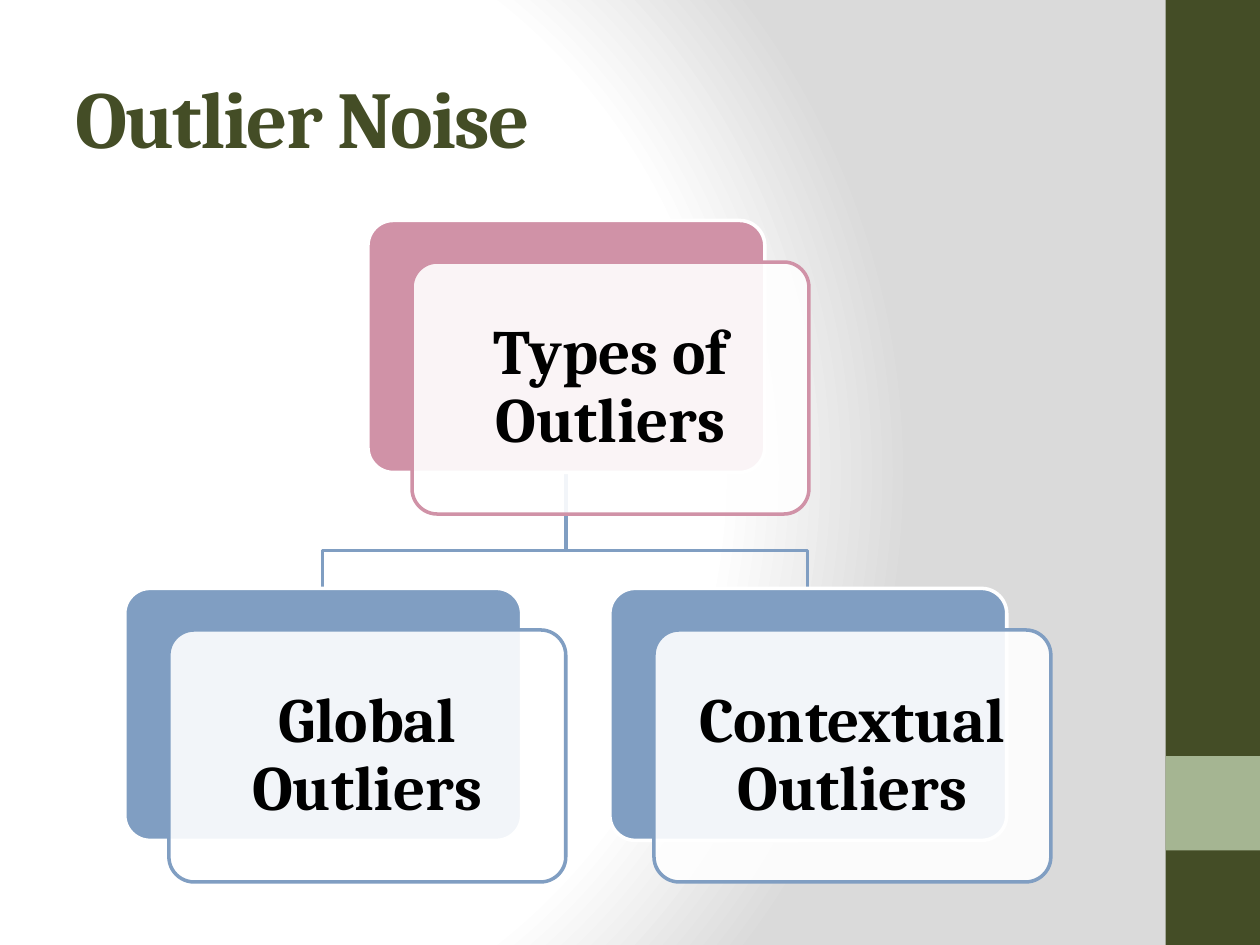
from typing import NamedTuple
from pptx import Presentation as Deck
from pptx.dml.color import RGBColor as Rgb
from pptx.enum.shapes import MSO_SHAPE as Kind
from pptx.enum.text import MSO_ANCHOR as Anchor, PP_ALIGN as Align
from pptx.oxml import parse_xml as parse
from pptx.oxml.ns import nsdecls, qn
from pptx.util import Pt

PX = 9144
WHITE = Rgb(0xFF, 0xFF, 0xFF)
BLACK = Rgb(0, 0, 0)
OLIVE = Rgb(0x44, 0x4D, 0x26)
SAGE = Rgb(0xA5, 0xB5, 0x92)
ROSE = Rgb(0xD0, 0x92, 0xA7)
BLUE = Rgb(0x80, 0x9E, 0xC2)
WIDE, TALL = 315, 200
SHIFT_X, SHIFT_Y = 35, 33
FONT = {"name": "Cambria", "bold": True}
FRAME = {"word_wrap": True, "vertical_anchor": Anchor.MIDDLE}
SIDES = ("margin_left", "margin_top", "margin_right", "margin_bottom")


class Box(NamedTuple):
    x: int
    y: int
    w: int
    h: int

    def emu(self) -> list[int]:
        return [n * PX for n in self]


class Card(NamedTuple):
    text: str
    x: int
    y: int
    hue: Rgb


ROOT = Card("Types of Outliers", 292, 175, ROSE)
LEAVES = [
    Card("Global Outliers", 99, 467, BLUE),
    Card("Contextual Outliers", 484, 467, BLUE),
]
BANDS = [(Box(925, 0, 75, 750), OLIVE), (Box(925, 600, 75, 75), SAGE)]


def apply(target, values: dict) -> None:
    for name, value in values.items():
        setattr(target, name, value)


def shade(slide) -> None:
    slide.background.fill.gradient()
    grad = next(slide.element.iter(qn("a:gradFill")))
    stops = "".join(
        f'<a:gs pos="{spot * 1000}"><a:srgbClr val="{hue}"/></a:gs>'
        for spot, hue in ((0, "FFFFFF"), (75, "FFFFFF"), (100, "DADADA"))
    )
    fresh = parse(
        f'<a:gradFill {nsdecls("a")} rotWithShape="1"><a:gsLst>{stops}</a:gsLst>'
        '<a:path path="circle"><a:fillToRect l="20000" t="50000" '
        'r="100000" b="50000"/></a:path></a:gradFill>'
    )
    grad.getparent().replace(grad, fresh)


def block(slide, kind: Kind, box: Box, fill: Rgb, edge: Rgb | None = None):
    shape = slide.shapes.add_shape(kind, *box.emu())
    shape.shadow.inherit = False
    shape.fill.solid()
    shape.fill.fore_color.rgb = fill
    if edge is None:
        shape.line.fill.background()
    else:
        shape.line.color.rgb = edge
        shape.line.width = Pt(2)
    if kind == Kind.ROUNDED_RECTANGLE:
        shape.adjustments[0] = 0.1
    return shape


def write(shape, text: str, size: int, hue: Rgb, form: dict):
    apply(shape.text_frame, FRAME)
    para = shape.text_frame.paragraphs[0]
    apply(para, form)
    run = para.add_run()
    run.text = text
    apply(run.font, FONT | {"size": Pt(size)})
    run.font.color.rgb = hue


def title(slide, text: str) -> None:
    box = slide.shapes.add_textbox(*Box(50, 30, 833, 125).emu())
    write(box, text, 46, OLIVE, {"alignment": Align.LEFT})
    next(box.element.iter(qn("a:rPr"))).set("spc", "-100")


def link(slide, top: Card, low: Card) -> None:
    start, end = top.x + WIDE // 2, low.x + WIDE // 2
    foot, bend = top.y + TALL, low.y - 30
    draft = slide.shapes.build_freeform(start, foot, PX)
    draft.add_line_segments(
        [(start, bend), (end, bend), (end, low.y)], close=False
    )
    line = draft.convert_to_shape()
    line.shadow.inherit = False
    line.fill.background()
    line.line.color.rgb = BLUE
    line.line.width = Pt(2)


def draw(slide, card: Card) -> None:
    kind = Kind.ROUNDED_RECTANGLE
    back = Box(card.x, card.y, WIDE, TALL)
    block(slide, kind, back, card.hue, WHITE)
    front = back._replace(x=card.x + SHIFT_X, y=card.y + SHIFT_Y)
    face = block(slide, kind, front, WHITE, card.hue)
    tint = next(face.element.spPr.iter(qn("a:srgbClr")))
    tint.append(parse(f'<a:alpha {nsdecls("a")} val="90000"/>'))
    apply(face.text_frame, dict.fromkeys(SIDES, 15 * PX))
    form = {"alignment": Align.CENTER, "line_spacing": 0.9}
    write(face, card.text, 36, BLACK, form)


def main() -> None:
    deck = Deck()
    apply(deck, {"slide_width": 1000 * PX, "slide_height": 750 * PX})
    slide = deck.slides.add_slide(deck.slide_layouts[6])
    shade(slide)
    for box, hue in BANDS:
        block(slide, Kind.RECTANGLE, box, hue)
    title(slide, "Outlier Noise")
    for leaf in reversed(LEAVES):
        link(slide, ROOT, leaf)
    for card in [ROOT, *LEAVES]:
        draw(slide, card)
    deck.save("out.pptx")


if __name__ == "__main__":
    main()
